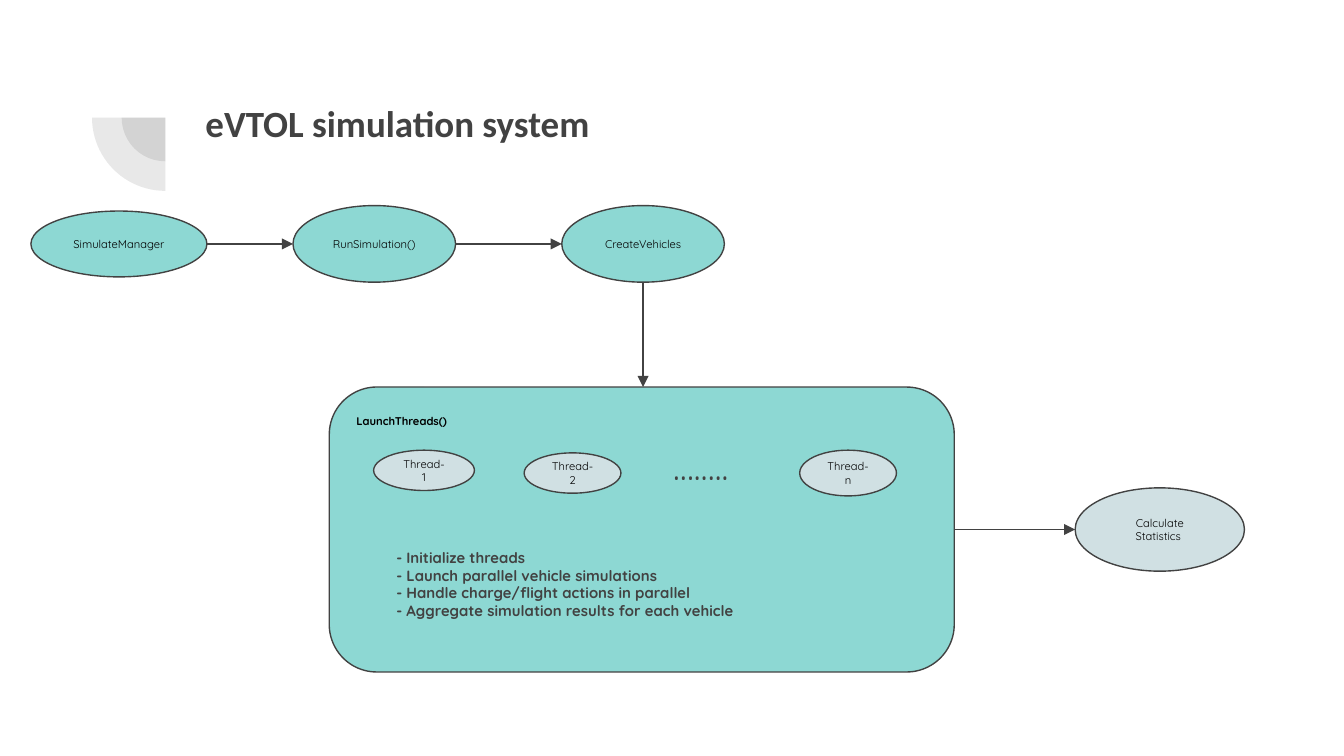
from dataclasses import dataclass
from lxml.etree import SubElement
from pptx import Presentation
from pptx.dml.color import RGBColor as RGB
from pptx.enum.shapes import MSO_CONNECTOR as CONN, MSO_SHAPE as SHAPE
from pptx.enum.text import MSO_ANCHOR as ANCHOR, PP_ALIGN as ALIGN
from pptx.oxml.ns import qn
from pptx.util import Inches, Pt


@dataclass(frozen=True)
class Theme:
    ink: RGB = RGB(0x42, 0x42, 0x42)
    black: RGB = RGB(0, 0, 0)
    teal: RGB = RGB(0x8D, 0xD8, 0xD3)
    mist: RGB = RGB(0xD0, 0xE0, 0xE3)
    heading: str = "Calibri"
    body: str = "Quicksand"
    title: float = 19.8
    dots: float = 20
    note: float = 8
    label: float = 6
    line: float = 0.75
    inset: float = 0.1
    ghost: int = 12


T = Theme()
LABEL = {"name": T.body, "size": Pt(T.label)}


def write(sp, lines, fmt, color, align=ALIGN.LEFT, anchor=ANCHOR.TOP):
    tf = sp.text_frame
    tf.word_wrap = True
    tf.vertical_anchor = anchor
    for side in ("left", "top", "right", "bottom"):
        setattr(tf, f"margin_{side}", Inches(T.inset))
    for i, line in enumerate(lines):
        p = tf.add_paragraph() if i else tf.paragraphs[0]
        p.alignment = align
        r = p.add_run()
        r.text = line
        for key, value in fmt.items():
            setattr(r.font, key, value)
        r.font.color.rgb = color


def add_text(slide, box, lines, fmt):
    sp = slide.shapes.add_textbox(*map(Inches, box))
    write(sp, lines, fmt, T.ink)


def add_shape(slide, kind, box, fill):
    sp = slide.shapes.add_shape(kind, *map(Inches, box))
    sp.shadow.inherit = False
    sp.fill.solid()
    sp.fill.fore_color.rgb = fill
    sp.line.color.rgb = T.ink
    sp.line.width = Pt(T.line)
    return sp


def add_node(slide, box, text, fill):
    sp = add_shape(slide, SHAPE.OVAL, box, fill)
    write(sp, [text], LABEL, T.black, ALIGN.CENTER, ANCHOR.MIDDLE)


def add_arrow(slide, start, end):
    cn = slide.shapes.add_connector(CONN.STRAIGHT, *map(Inches, (*start, *end)))
    cn.line.color.rgb = T.ink
    cn.line.width = Pt(T.line)
    SubElement(cn.line._get_or_add_ln(), qn("a:tailEnd"), type="triangle")
    SubElement(cn._element.spPr, qn("a:effectLst"))


def add_header(slide, box):
    x, y, w, h = box
    cx, cy = x + 0.55, y + h / 2
    for size in (0.65, h):
        sp = add_shape(slide, SHAPE.PIE, (cx - size / 2, cy - size / 2, size, size), T.ink)
        sp.adjustments[0], sp.adjustments[1] = 108, 162
        sp.rotation = 270
        sp.line.fill.background()
        color = sp._element.spPr.find(f"{qn('a:solidFill')}/{qn('a:srgbClr')}")
        SubElement(color, qn("a:alpha"), val=str(T.ghost * 1000))
    fmt = {"name": T.heading, "size": Pt(T.title), "bold": True}
    add_text(slide, (x + 0.75, y + 0.32, w - 0.75, 0.57), ["eVTOL simulation system"], fmt)


def add_steps(slide, box):
    x, y, w, h = box
    mid = y + h / 2
    steps = [("SimulateManager", 0, 1.31, 0.49),
             ("RunSimulation()", 1.95, 1.21, h),
             ("CreateVehicles", w - 1.21, 1.21, h)]
    for text, dx, width, height in steps:
        add_node(slide, (x + dx, mid - height / 2, width, height), text, T.teal)
    for (_, dx, width, _), (_, next_dx, _, _) in zip(steps, steps[1:]):
        add_arrow(slide, (x + dx + width, mid), (x + next_dx, mid))


def add_launch_panel(slide, box):
    x, y, w, h = box
    panel = add_shape(slide, SHAPE.ROUNDED_RECTANGLE, box, T.teal)
    write(panel, ["LaunchThreads()"], LABEL | {"bold": True}, T.black)
    threads = [("1", 0.33, 0.47, 0.75, 0.3),
               ("2", 1.45, 0.49, 0.72, 0.3),
               ("n", 3.5, 0.47, 0.72, 0.34)]
    for name, dx, dy, width, height in threads:
        add_node(slide, (x + dx, y + dy, width, height), f"Thread-{name}", T.mist)
    add_text(slide, (x + 2.46, y + 0.32, 0.99, 0.54), ["…….."],
             {"name": T.body, "size": Pt(T.dots)})
    duties = ["Initialize threads",
              "Launch parallel vehicle simulations",
              "Handle charge/flight actions in parallel",
              "Aggregate simulation results for each vehicle"]
    add_text(slide, (x + 0.4, y + 1.1, 3.55, 0.74), [f"- {duty}" for duty in duties],
             {"name": T.body, "size": Pt(T.note), "bold": True})


def main():
    prs = Presentation()
    prs.slide_width = Inches(10)
    prs.slide_height = prs.slide_width * 9 // 16
    slide = prs.slides.add_slide(prs.slide_layouts[6])
    steps = (0.23, 1.53, 5.16, 0.57)
    panel = (2.45, 2.88, 4.65, 2.12)
    result = (8, 3.63, 1.26, 0.62)
    add_header(slide, (0.68, 0.33, 4.7, 1.09))
    add_steps(slide, steps)
    add_launch_panel(slide, panel)
    add_node(slide, result, "Calculate Statistics ", T.mist)
    down_x = steps[0] + steps[2] - 1.21 / 2
    across_y = panel[1] + panel[3] / 2
    add_arrow(slide, (down_x, steps[1] + steps[3]), (down_x, panel[1]))
    add_arrow(slide, (panel[0] + panel[2], across_y), (result[0], across_y))
    prs.save("out.pptx")


if __name__ == "__main__":
    main()
